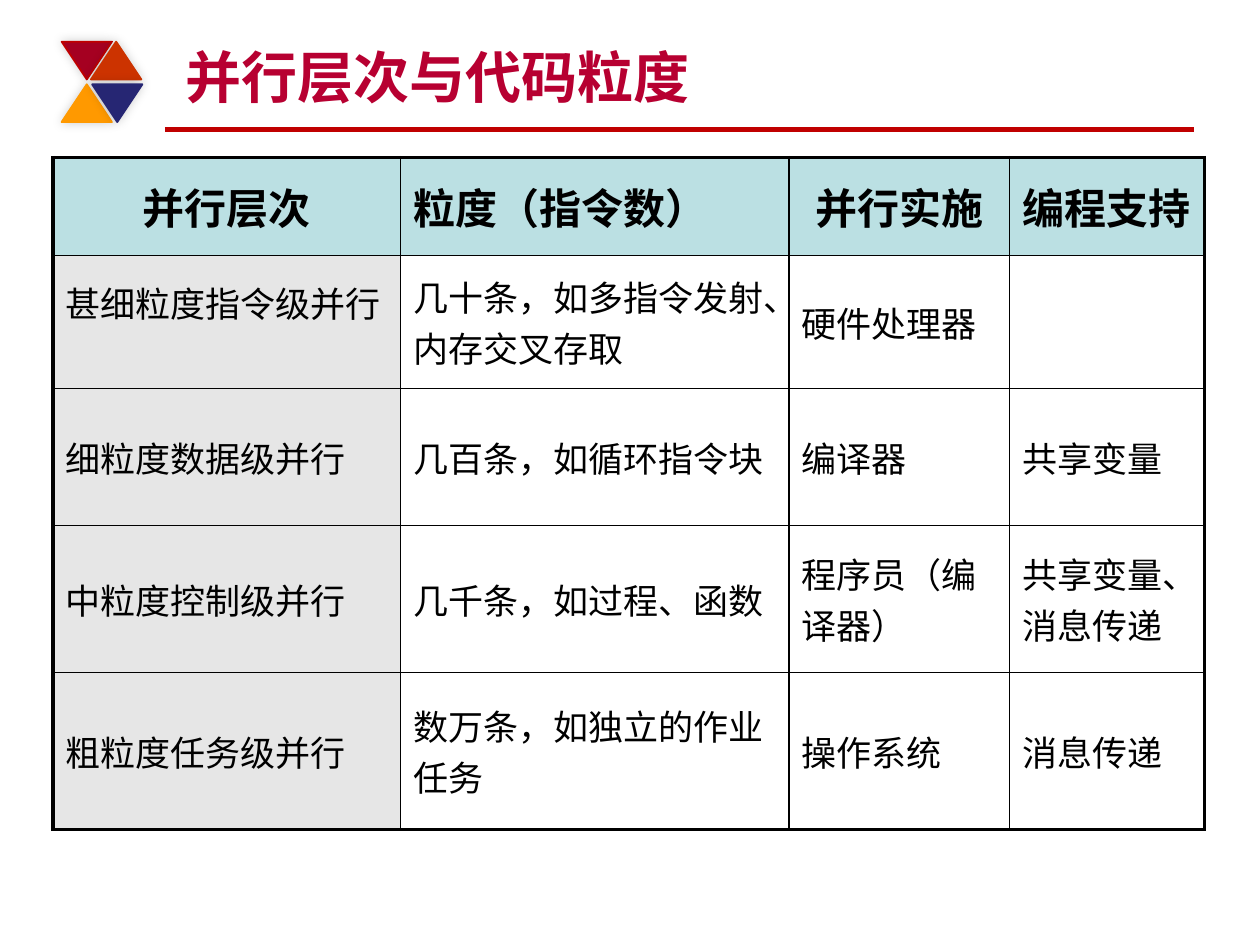
from dataclasses import dataclass

from lxml.etree import SubElement
from pptx import Presentation
from pptx.dml.color import RGBColor
from pptx.enum.shapes import MSO_CONNECTOR, MSO_SHAPE
from pptx.enum.text import MSO_ANCHOR, MSO_AUTO_SIZE, PP_ALIGN
from pptx.oxml.ns import qn
from pptx.util import Pt


@dataclass(frozen=True)
class Theme:
    title_font: str = "Arial"
    table_font: str = "Comic Neue"
    title_size: int = 32
    header_size: int = 24
    body_size: int = 20
    title: str = "B70031"
    rule: str = "C00000"
    ink: str = "000000"
    header_fill: str = "BBE0E3"
    label_fill: str = "E6E6E6"
    outer_border: float = 2.25
    inner_border: float = 1


def write(frame, text, *, font, size, color, bold=False, align=PP_ALIGN.LEFT, before=0):
    """Put one formatted paragraph into a text frame."""
    para = frame.paragraphs[0]
    para.alignment = align
    para.space_before = Pt(before)
    span = para.add_run()
    span.text = text
    span.font.name = font
    span.font.size = Pt(size)
    span.font.bold = bold
    span.font.color.rgb = RGBColor.from_string(color)


class PageBuilder:
    def __init__(self, deck, theme):
        self.theme = theme
        self.page = deck.slides.add_slide(deck.slide_layouts[5])  # Title Only

    def rule(self, left, right, y):
        line = self.page.shapes.add_connector(
            MSO_CONNECTOR.STRAIGHT, Pt(left), Pt(y), Pt(right), Pt(y))
        line.line.color.rgb = RGBColor.from_string(self.theme.rule)
        line.line.width = Pt(3)
        SubElement(line._element.spPr, qn("a:effectLst"))

    def triangle(self, left, top, fill, outline, rotation):
        shape = self.page.shapes.add_shape(
            MSO_SHAPE.ISOSCELES_TRIANGLE, Pt(left), Pt(top), Pt(28.8), Pt(21.6))
        shape.rotation = rotation
        shape.fill.solid()
        shape.fill.fore_color.rgb = RGBColor.from_string(fill)
        shape.line.color.rgb = RGBColor.from_string(outline)
        shape.line.width = Pt(1)
        # Soft shadow all round
        shape.shadow.inherit = False
        effects = shape._element.spPr.find(qn("a:effectLst"))
        shadow = SubElement(effects, qn("a:outerShdw"), blurRad=str(Pt(6)),
                            dist="0", dir=str(315 * 60000))
        color = SubElement(shadow, qn("a:srgbClr"), val=self.theme.ink)
        SubElement(color, qn("a:alpha"), val="20000")

    def title(self, text, left, top, width, height):
        box = self.page.shapes.title
        box.left, box.top, box.width, box.height = map(Pt, (left, top, width, height))
        frame = box.text_frame
        frame.auto_size = MSO_AUTO_SIZE.NONE
        frame.vertical_anchor = MSO_ANCHOR.BOTTOM
        write(frame, text, font=self.theme.title_font, size=self.theme.title_size,
              color=self.theme.title, bold=True)

    def border(self, cell, side, width):
        line = SubElement(cell._tc.get_or_add_tcPr(), qn(f"a:ln{side}"), w=str(Pt(width)))
        fill = SubElement(line, qn("a:solidFill"))
        SubElement(fill, qn("a:srgbClr"), val=self.theme.ink)

    def cell(self, cell, text, row, column, edges):
        theme = self.theme
        header = row == 0
        for side, outer in edges.items():
            self.border(cell, side, theme.outer_border if outer else theme.inner_border)
        if header or column == 0:
            cell.fill.solid()
            cell.fill.fore_color.rgb = RGBColor.from_string(
                theme.header_fill if header else theme.label_fill)
        else:
            cell.fill.background()
        cell.vertical_anchor = MSO_ANCHOR.MIDDLE
        if text:
            size = theme.header_size if header else theme.body_size
            centred = header and column != 1
            write(cell.text_frame, text, font=theme.table_font, size=size,
                  color=theme.ink, bold=header, before=size * 0.2,
                  align=PP_ALIGN.CENTER if centred else PP_ALIGN.LEFT)

    def table(self, rows, left, top, widths, heights):
        table = self.page.shapes.add_table(
            len(rows), len(widths), Pt(left), Pt(top),
            Pt(sum(widths)), Pt(sum(heights))).table
        table.first_row = table.horz_banding = False
        for column, width in zip(table.columns, widths):
            column.width = Pt(width)
        for line, height in zip(table.rows, heights):
            line.height = Pt(height)
        for r, texts in enumerate(rows):
            for c, text in enumerate(texts):
                edges = {"L": c == 0, "R": c == len(widths) - 1,
                         "T": r == 0, "B": r == len(rows) - 1}
                self.cell(table.cell(r, c), text, r, c, edges)
        return table


def main():
    deck = Presentation()
    deck.slide_width, deck.slide_height = Pt(720), Pt(540)
    builder = PageBuilder(deck, Theme())

    # Heading: rule, emblem of triangles, title
    builder.rule(94.3, 682.5, 74.2)
    for left, top, fill, outline, rotation in (
        (35.2, 23.8, "A50021", "C00000", 180),
        (52, 23.8, "CC3300", "CC3300", 0),
        (35.2, 48.2, "FF9900", "FF9900", 0),
        (52.6, 48.2, "262673", "262673", 180),
    ):
        builder.triangle(left, top, fill, outline, rotation)
    builder.title("并行层次与代码粒度", 98.6, 18, 576, 48.2)

    # Levels of parallelism
    table = builder.table(
        [
            ("并行层次", "粒度（指令数）", "并行实施", "编程支持"),
            ("甚细粒度指令级并行", "几十条，如多指令发射、内存交叉存取", "硬件处理器", ""),
            ("细粒度数据级并行", "几百条，如循环指令块", "编译器", "共享变量"),
            ("中粒度控制级并行", "几千条，如过程、函数", "程序员（编译器）", "共享变量、消息传递"),
            ("粗粒度任务级并行", "数万条，如独立的作业任务", "操作系统", "消息传递"),
        ],
        left=30.2, top=90, widths=(198.8, 222, 126, 111.2),
        heights=(56, 76, 78.2, 84, 89.8),
    )
    table.cell(1, 0).margin_bottom = Pt(26)  # this label sits above the middle

    deck.save("out.pptx")


if __name__ == "__main__":
    main()
